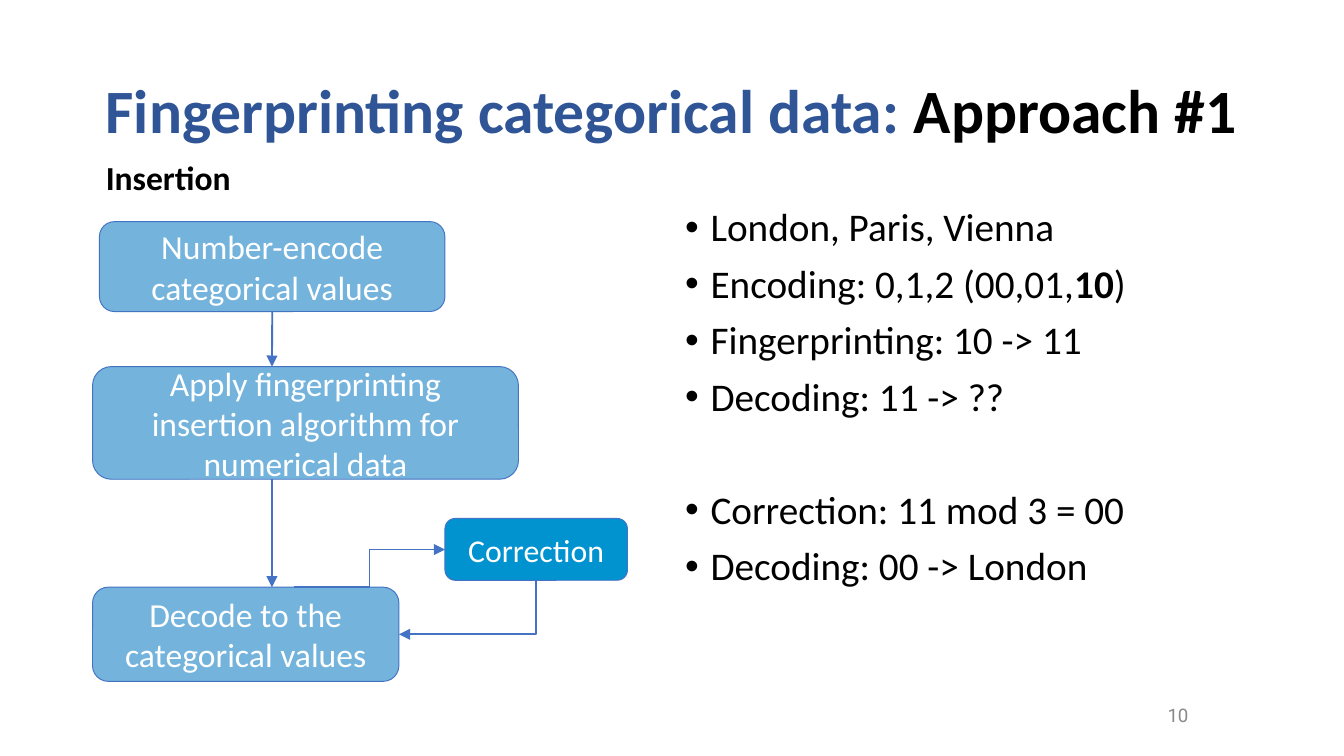
from lxml.etree import SubElement
from pptx import Presentation
from pptx.dml.color import RGBColor
from pptx.enum.shapes import MSO_CONNECTOR as Connector, MSO_SHAPE as Shape
from pptx.enum.text import MSO_ANCHOR as Anchor, PP_ALIGN as Align
from pptx.oxml.ns import qn
from pptx.util import Cm, Pt

BLACK, WHITE, GREY = "000000", "FFFFFF", "898989"
TITLE_BLUE, LINE_BLUE = "2F5597", "4472C4"
STEP_BLUE, CORRECTION_BLUE = "73B3DC", "0093D0"


def color(hex_code):
    return RGBColor.from_string(hex_code)


class SlideBuilder:
    font = "Calibri"

    def __init__(self, slide):
        self.slide = slide

    def format_run(self, run, size, hex_code, bold=False, font=None):
        run.font.name = font or self.font
        run.font.size = Pt(size)
        run.font.bold = bold
        run.font.color.rgb = color(hex_code)

    def text(self, box, parts, size, anchor=Anchor.TOP, align=Align.LEFT,
             wrap=True, font=None, line_spacing=None):
        """Add a one-paragraph text box; parts are (text, colour, bold)."""
        frame = self.slide.shapes.add_textbox(*map(Cm, box)).text_frame
        frame.word_wrap = wrap
        frame.vertical_anchor = anchor
        frame.margin_right = Cm(0.25 if align == Align.RIGHT else 0)
        paragraph = frame.paragraphs[0]
        paragraph.alignment = align
        paragraph.line_spacing = line_spacing
        for content, hex_code, bold in parts:
            run = paragraph.add_run()
            run.text = content
            self.format_run(run, size, hex_code, bold, font)

    def bullets(self, box, items, size):
        """Add a bullet list; items are (space before, [(text, bold), ...])."""
        frame = self.slide.shapes.add_textbox(*map(Cm, box)).text_frame
        frame.word_wrap = True
        for index, (space, parts) in enumerate(items):
            paragraph = frame.add_paragraph() if index else frame.paragraphs[0]
            paragraph.line_spacing = 0.9
            paragraph.space_before = Pt(space)
            properties = paragraph._p.get_or_add_pPr()
            properties.set("marL", str(Cm(0.48)))
            properties.set("indent", str(-Cm(0.48)))
            SubElement(properties, qn("a:buFont")).set("typeface", "Arial")
            SubElement(properties, qn("a:buChar")).set("char", "•")
            for content, bold in parts:
                run = paragraph.add_run()
                run.text = content
                self.format_run(run, size, BLACK, bold)

    def step(self, box, label, fill=STEP_BLUE, size=18):
        shape = self.slide.shapes.add_shape(Shape.ROUNDED_RECTANGLE, *map(Cm, box))
        shape.shadow.inherit = False
        shape.fill.solid()
        shape.fill.fore_color.rgb = color(fill)
        shape.line.color.rgb = color(LINE_BLUE)
        shape.line.width = Pt(0.5)
        frame = shape.text_frame
        frame.word_wrap = True
        frame.vertical_anchor = Anchor.MIDDLE
        frame.text = label
        paragraph = frame.paragraphs[0]
        paragraph.alignment = Align.CENTER
        self.format_run(paragraph.runs[0], size, WHITE)
        return shape

    def arrow(self, begin, end, kind=Connector.STRAIGHT):
        connector = self.slide.shapes.add_connector(kind, *map(Cm, begin + end))
        connector.line.color.rgb = color(LINE_BLUE)
        connector.line.width = Pt(1)
        SubElement(connector.line._get_or_add_ln(), qn("a:tailEnd")).set("type", "triangle")
        SubElement(connector._element.spPr, qn("a:effectLst"))
        return connector

    def corner_arrow(self, begin, end):
        """Go down and then left: a one-bend connector turned by 90 degrees."""
        (x1, y1), (x2, y2) = begin, end
        middle_x, middle_y = (x1 + x2) / 2, (y1 + y2) / 2
        half_width, half_height = (y2 - y1) / 2, (x1 - x2) / 2
        connector = self.arrow((middle_x - half_width, middle_y - half_height),
                               (middle_x + half_width, middle_y + half_height),
                               Connector.ELBOW)
        properties = connector._element.spPr
        properties.find(qn("a:xfrm")).set("rot", str(90 * 60000))
        properties.find(qn("a:prstGeom")).set("prst", "bentConnector2")


def main():
    presentation = Presentation()
    presentation.slide_width, presentation.slide_height = Cm(25.4), Cm(14.29)
    builder = SlideBuilder(presentation.slides.add_slide(presentation.slide_layouts[6]))

    # Slide number and headings
    builder.text((14.66, 13.13, 8.05, 0.76), [("10", GREY, False)], 10,
                 Anchor.MIDDLE, Align.RIGHT, font="Roboto")
    builder.text((1.75, 0.76, 21.89, 2.77),
                 [("Fingerprinting categorical data: ", TITLE_BLUE, True),
                  ("Approach #1", BLACK, True)], 33, Anchor.MIDDLE, line_spacing=0.9)
    builder.text((1.75, 2.84, 2.9, 1.02), [("Insertion", BLACK, True)], 18, wrap=False)

    # Worked example; the wide gap sets off the correction
    gap, wide_gap = 7.5, 38
    builder.bullets((12.7, 3.81, 10.95, 9.07), [
        (gap, [("London, Paris, Vienna", False)]),
        (gap, [("Encoding: 0,1,2 (00,01,", False), ("10", True), (")", False)]),
        (gap, [("Fingerprinting: 10 -> 11", False)]),
        (gap, [("Decoding: 11 -> ??", False)]),
        (wide_gap, [("Correction: 11 mod 3 = 00", False)]),
        (gap, [("Decoding: 00 -> London", False)]),
    ], 21)

    # Flowchart steps
    encode = builder.step((1.88, 4.19, 6.53, 1.7), "Number-encode categorical values")
    builder.step((1.75, 6.93, 8.05, 2.13),
                 "Apply fingerprinting insertion algorithm for numerical data")
    builder.step((8.41, 9.8, 3.45, 1.17), "Correction", CORRECTION_BLUE, 17)
    builder.step((1.75, 11.1, 5.79, 1.78), "Decode to the categorical values")

    # Flow downwards, then the correction loop
    flow_x = 5.14
    builder.arrow((flow_x, 5.89), (flow_x, 6.93)).begin_connect(encode, 2)
    builder.arrow((flow_x, 9.06), (flow_x, 11.1))
    builder.arrow((5.56, 11.1), (8.41, 10.39), Connector.ELBOW)
    builder.corner_arrow((10.13, 10.97), (7.54, 11.99))

    presentation.save("out.pptx")


if __name__ == "__main__":
    main()
